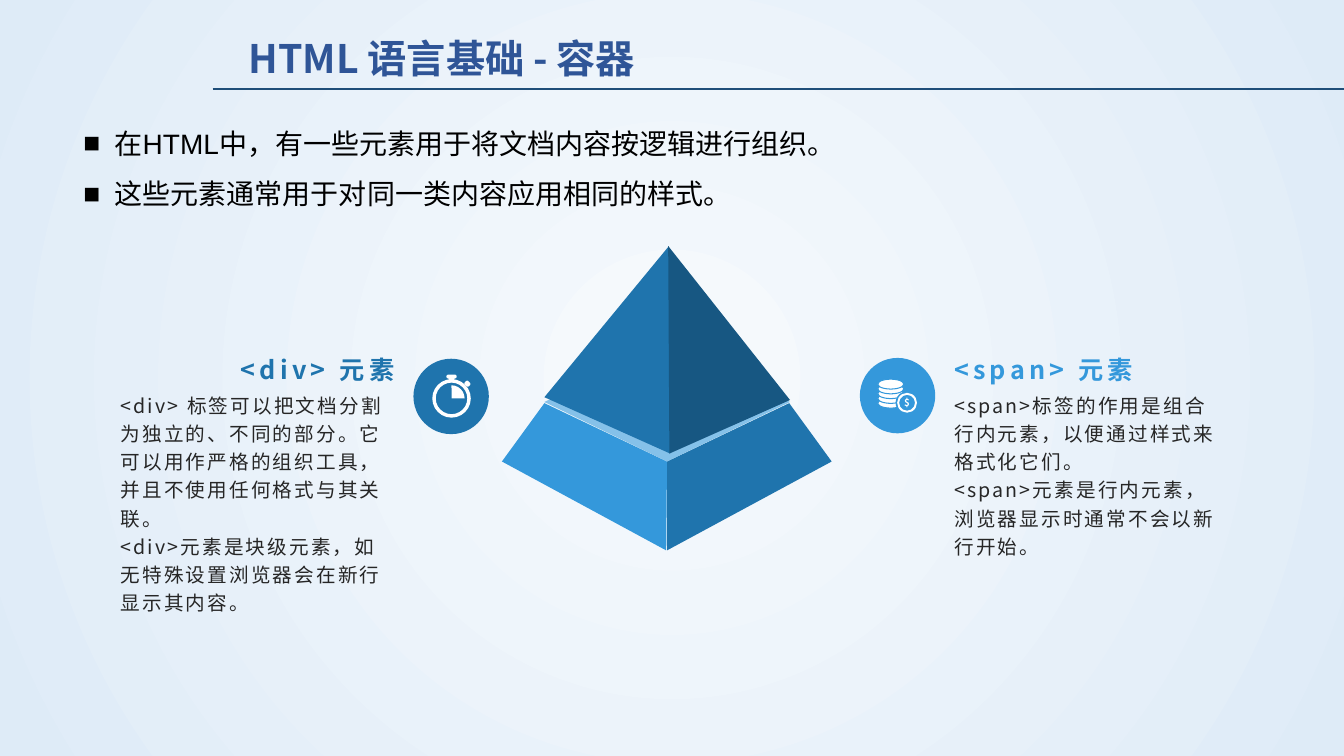
from lxml.etree import SubElement
from pptx import Presentation
from pptx.dml.color import RGBColor
from pptx.enum.shapes import MSO_CONNECTOR, MSO_SHAPE
from pptx.enum.text import MSO_ANCHOR, PP_ALIGN
from pptx.oxml.ns import qn
from pptx.util import Cm, Pt

THEME = {
    "cjk": "Noto Sans CJK SC", "latin": "Arial",
    "title": "2F5597", "rule": "1F4E79", "text": "000000", "body": "262626",
    "white": "FFFFFF", "deep": "1F74AD", "bright": "3498DB",
    "dark": "175782", "pale": "85C1E9", "glow": "F7FAFD", "edge": "DEEBF7",
    "title_pt": 28, "bullet_pt": 20, "heading_pt": 18, "body_pt": 14, "coin_pt": 7,
}

TITLE = "HTML 语言基础 - 容器"
BULLETS = [
    "在HTML中，有一些元素用于将文档内容按逻辑进行组织。",
    "这些元素通常用于对同一类内容应用相同的样式。",
]
STOPWATCH = [  # shape, centre offset x and y, width, height, rotation, adjustments
    (MSO_SHAPE.DONUT, 0.01, 0.05, 0.97, 0.97, 0, [0.09]),
    (MSO_SHAPE.PIE, 0.01, 0.05, 0.66, 0.66, 0, [162, 0]),
    (MSO_SHAPE.ROUNDED_RECTANGLE, 0.01, -0.5, 0.26, 0.1, 0, [0.5]),
    (MSO_SHAPE.RECTANGLE, 0.01, -0.42, 0.15, 0.12, 0, []),
    (MSO_SHAPE.ROUNDED_RECTANGLE, 0.41, -0.32, 0.14, 0.12, 45, [0.3]),
]
COIN = {"x": -0.17, "y": -0.29, "w": 0.66, "h": 0.25, "pitch": 0.12, "count": 5}
BADGE = {"x": 0.24, "y": 0.18, "size": 0.5, "halo": 0.58}

COLUMNS = [
    {"heading": "<div> 元素", "color": "deep", "x": 2.79, "align": PP_ALIGN.RIGHT,
     "disc": (11.37, 9.99), "icon": "stopwatch", "height": 6.68,
     "body": ["<div> 标签可以把文档分割为独立的、不同的部分。它可以用作严格的组织工具，"
              "并且不使用任何格式与其关联。",
              "<div>元素是块级元素，如无特殊设置浏览器会在新行显示其内容。"]},
    {"heading": "<span> 元素", "color": "bright", "x": 23.8, "align": PP_ALIGN.LEFT,
     "disc": (22.62, 9.97), "icon": "coins", "height": 5,
     "body": ["<span>标签的作用是组合行内元素，以便通过样式来格式化它们。",
              "<span>元素是行内元素，浏览器显示时通常不会以新行开始。"]},
]
PYRAMID = [  # colour, corners
    ("bright", [(16.81, 11.63), (16.79, 13.87), (12.65, 11.63), (13.72, 10.16)]),
    ("deep", [(16.81, 11.63), (16.81, 13.87), (20.96, 11.63), (19.89, 10.16)]),
    ("pale", [(13.72, 10.13), (16.81, 8.66), (19.91, 10.13), (16.81, 11.63)]),
    ("deep", [(16.89, 11.43), (13.72, 10.01), (16.86, 6.2)]),
    ("dark", [(16.87, 11.43), (19.91, 10.08), (16.84, 6.2)]),
]
DISC, COLUMN_W = 1.9, 7.4


def rgb(name):
    """Return a theme colour."""
    return RGBColor.from_string(THEME[name])


def apply(obj, values):
    """Set every attribute in values on obj."""
    for name, value in values.items():
        setattr(obj, name, value)


def paint(sp, color, line=None):
    """Give a shape a flat fill, an optional thin outline and no shadow."""
    sp.shadow.inherit = False
    sp.fill.solid()
    sp.fill.fore_color.rgb = rgb(color)
    if line:
        sp.line.color.rgb = rgb(line)
        sp.line.width = Pt(0.75)
    else:
        sp.line.fill.background()
    return sp


def add_centred(s, kind, x, y, w, h, color, line=None, rotation=0, adjust=()):
    """Add a preset shape around its centre, in centimetres."""
    sp = s.shapes.add_shape(kind, Cm(x - w / 2), Cm(y - h / 2), Cm(w), Cm(h))
    sp.rotation = rotation
    for i, value in enumerate(adjust):
        sp.adjustments[i] = value
    return paint(sp, color, line)


def write(tf, lines, size, color, bold=False, font="cjk", spacing=0,
          para=None, bullet=False, insets=None):
    """Fill a text frame with one paragraph per line."""
    apply(tf, {"word_wrap": True, **(insets or {})})
    for i, line in enumerate(lines):
        p = tf.paragraphs[0] if i == 0 else tf.add_paragraph()
        apply(p, para or {})
        if bullet:
            ppr = p._p.get_or_add_pPr()
            ppr.set("marL", str(Cm(0.79)))
            ppr.set("indent", str(-Cm(0.79)))
            SubElement(ppr, qn("a:buFont"), typeface=THEME["latin"])
            SubElement(ppr, qn("a:buChar"), char="■")
        r = p.add_run()
        r.text = line
        apply(r.font, {"size": Pt(THEME[size]), "bold": bold, "name": THEME[font]})
        r.font.color.rgb = rgb(color)
        rpr = r._r.get_or_add_rPr()
        SubElement(rpr, qn("a:ea"), typeface=THEME["cjk"])
        if spacing:
            rpr.set("spc", str(int(spacing * 100)))


def add_text(s, x, y, w, h, lines, size, color, **style):
    """Add a text box, in centimetres."""
    tf = s.shapes.add_textbox(Cm(x), Cm(y), Cm(w), Cm(h)).text_frame
    write(tf, lines, size, color, **style)


def add_background(s):
    """Paint a glow that spreads from the centre of the slide."""
    fill = s.background.fill
    fill.gradient()
    for stop, color, position in zip(fill.gradient_stops, ("glow", "edge"), (0, 1)):
        stop.color.rgb = rgb(color)
        stop.position = position
    grad = s._element.find(".//" + qn("a:gradFill"))
    grad.remove(grad.find(qn("a:lin")))
    glow = SubElement(grad, qn("a:path"), path="circle")
    SubElement(glow, qn("a:fillToRect"), {side: "50000" for side in "ltrb"})


def add_stopwatch(s, cx, cy):
    """Draw the stopwatch on its disc."""
    for kind, dx, dy, w, h, rotation, adjust in STOPWATCH:
        add_centred(s, kind, cx + dx, cy + dy, w, h, "white",
                    rotation=rotation, adjust=adjust)


def add_coins(s, cx, cy):
    """Draw the coin stack, bottom coin first, and its dollar badge."""
    for i in reversed(range(COIN["count"])):
        add_centred(s, MSO_SHAPE.OVAL, cx + COIN["x"], cy + COIN["y"] + i * COIN["pitch"],
                    COIN["w"], COIN["h"], "white", line="bright")
    x, y, size, halo = cx + BADGE["x"], cy + BADGE["y"], BADGE["size"], BADGE["halo"]
    add_centred(s, MSO_SHAPE.OVAL, x, y, halo, halo, "bright")
    sp = add_centred(s, MSO_SHAPE.DONUT, x, y, size, size, "white", adjust=[0.1])
    insets = dict.fromkeys(("margin_left", "margin_right", "margin_top", "margin_bottom"), 0)
    write(sp.text_frame, ["$"], "coin_pt", "white", bold=True,
          para={"alignment": PP_ALIGN.CENTER},
          insets={**insets, "vertical_anchor": MSO_ANCHOR.MIDDLE})


def add_column(s, col):
    """Add a disc with its icon, a heading and the body text."""
    cx, cy = col["disc"]
    add_centred(s, MSO_SHAPE.OVAL, cx, cy, DISC, DISC, col["color"])
    {"stopwatch": add_stopwatch, "coins": add_coins}[col["icon"]](s, cx, cy)
    add_text(s, col["x"], 8.64, COLUMN_W, 1.04, [col["heading"]], "heading_pt", col["color"],
             bold=True, spacing=3, para={"alignment": col["align"], "line_spacing": 1.2},
             insets={"margin_bottom": 0, "vertical_anchor": MSO_ANCHOR.BOTTOM})
    add_text(s, col["x"], 9.8, COLUMN_W, col["height"], col["body"], "body_pt", "body",
             spacing=1.5, para={"line_spacing": 1.2}, insets={"margin_top": 0})


def add_face(s, color, corners):
    """Add one flat face of the pyramid."""
    points = [(Cm(x), Cm(y)) for x, y in corners]
    fb = s.shapes.build_freeform(*points[0])
    fb.add_line_segments(points[1:], close=True)
    paint(fb.convert_to_shape(), color)


prs = Presentation()
apply(prs, {"slide_width": Cm(33.87), "slide_height": Cm(19.05)})
s = prs.slides.add_slide(prs.slide_layouts[6])
add_background(s)

rule = s.shapes.add_connector(MSO_CONNECTOR.STRAIGHT, Cm(5.36), Cm(2.24), Cm(33.87), Cm(2.24))
rule.line.color.rgb = rgb("rule")
rule.line.width = Pt(1.25)
SubElement(rule._element.spPr, qn("a:effectLst"))

add_text(s, 6.02, 0.74, 26.77, 1.45, [TITLE], "title_pt", "title", bold=True)
for col in COLUMNS:
    add_column(s, col)
for color, corners in PYRAMID:
    add_face(s, color, corners)
add_text(s, 1.85, 2.64, 30.15, 2.82, BULLETS, "bullet_pt", "text", font="latin",
         para={"line_spacing": 1.5}, bullet=True)

prs.save("out.pptx")
